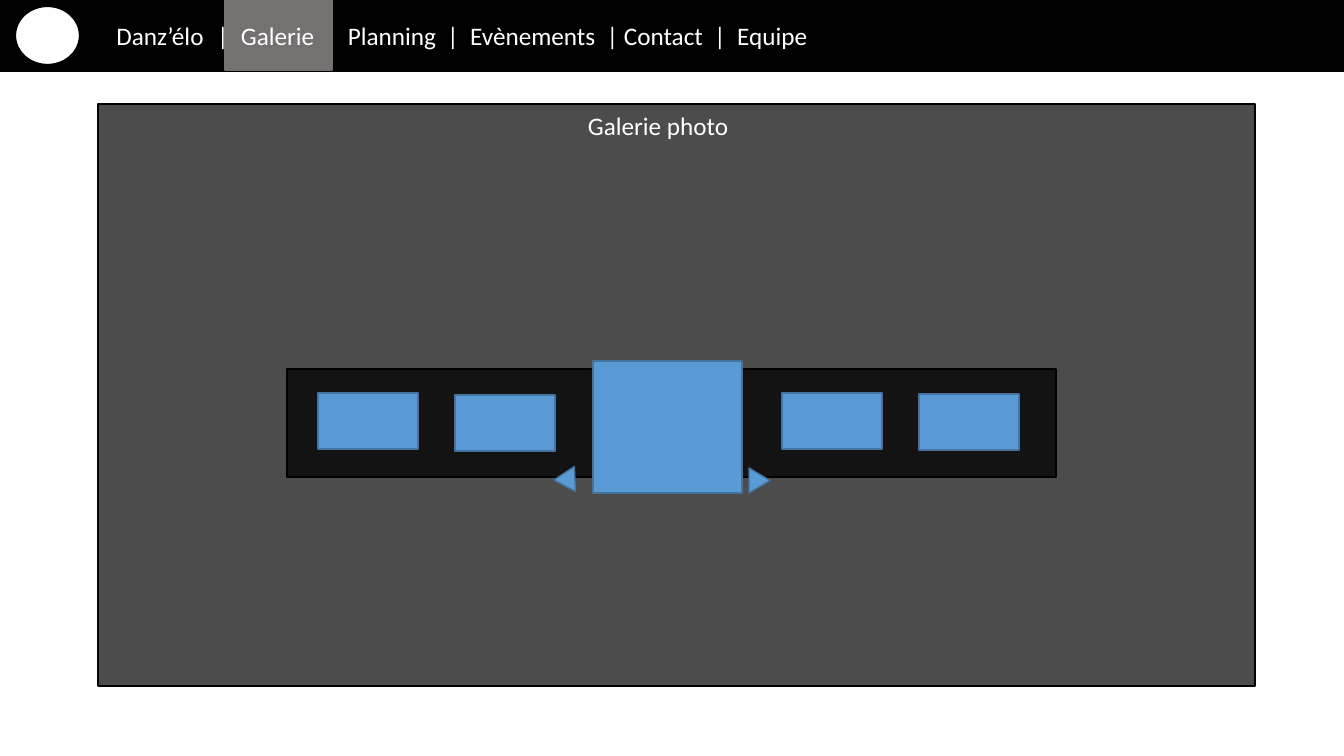
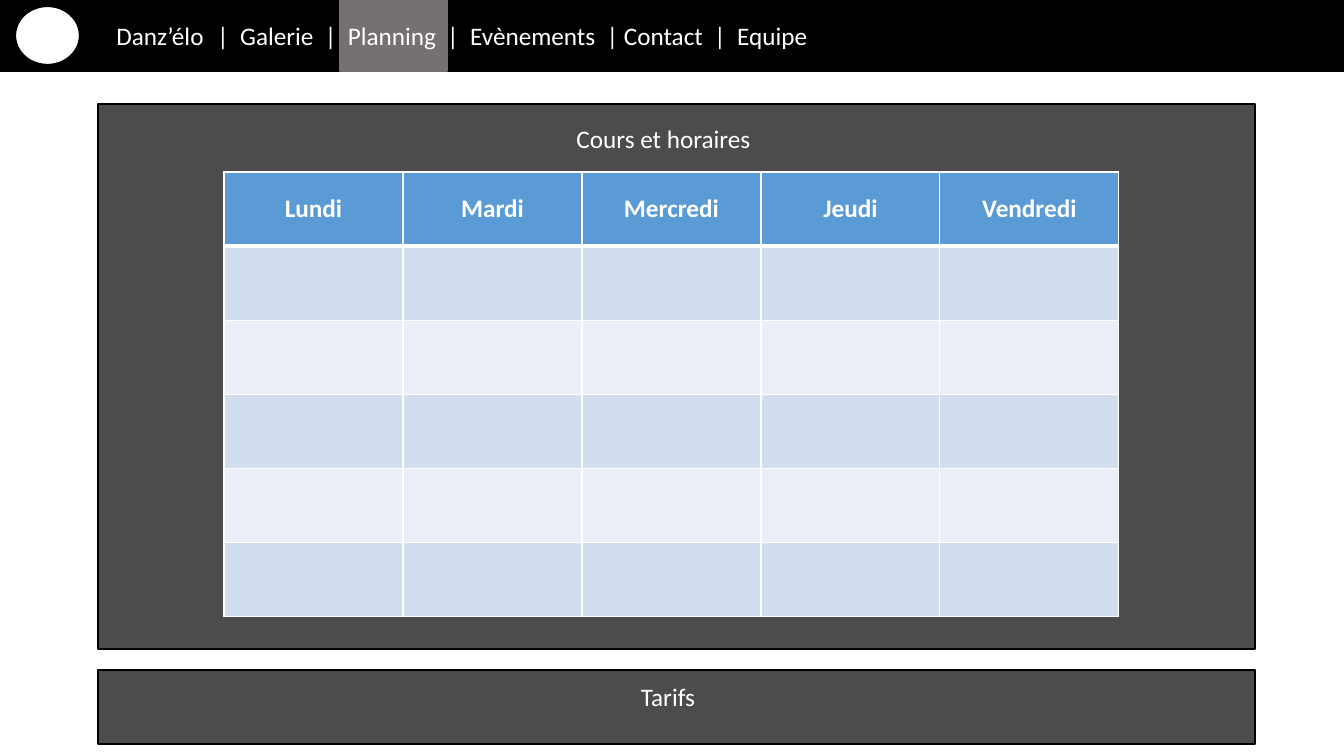
from lxml.etree import SubElement
from pptx import Presentation
from pptx.dml.color import RGBColor
from pptx.enum.shapes import MSO_SHAPE
from pptx.enum.text import MSO_ANCHOR, PP_ALIGN
from pptx.oxml.ns import qn
from pptx.util import Emu, Pt

# Content: boxes are left, top, width, height in pixels
MENU = "\t Danz’élo\t |  Galerie  |  Planning  |  Evènements  | Contact  |  Equipe "
GALLERY_TAB = ("Galerie", (225, -1, 107, 71), (231, 15, 95, 40))
PLANNING_TAB = ("Planning", (340, 0, 107, 71), (338, 15, 110, 40))
GALLERY_TITLE = ("Galerie photo", (578, 105, 168, 40))
SCHEDULE_TITLE = ("Cours et horaires", (565, 118, 197, 40))
PRICES_TITLE = ("Tarifs", (631, 676, 82, 40))
THUMBNAILS = [(318, 393), (455, 395), (782, 393), (919, 394)]
MAIN_PHOTO = (593, 361, 149, 132)
ARROWS = [((747, 470, 25, 21), 90), ((552, 469, 25, 21), 267.4)]
DAYS = ["Lundi", "Mardi", "Mercredi", "Jeudi", "Vendredi"]
EMPTY_ROWS = 5

# Shared look
COLORS = {"black": "000000", "white": "FFFFFF", "tab": "767171",
          "blue": "5B9BD5", "blue_line": "43739E",
          "dark_band": "D2DEEF", "light_band": "EAEFF7"}
FONT, TEXT_SIZE = "Calibri", Pt(18)
SLIDE_WIDTH, SLIDE_HEIGHT = 1344, 756
PANEL_LEFT, PANEL_WIDTH = 98, 1157
EMU_PER_PIXEL = 12192000 / SLIDE_WIDTH


def px(value):
    return Emu(round(value * EMU_PER_PIXEL))


def color(name):
    return RGBColor.from_string(COLORS[name])


def style_text(paragraph, align=PP_ALIGN.LEFT, bold=False):
    paragraph.alignment = align
    font = paragraph.font
    font.name, font.size, font.bold = FONT, TEXT_SIZE, bold
    font.color.rgb = color("white")


def add_box(slide, box, fill, line, kind=MSO_SHAPE.RECTANGLE, line_width=1, opacity=None):
    shape = slide.shapes.add_shape(kind, *map(px, box))
    shape.shadow.inherit = False
    shape.fill.solid()
    shape.fill.fore_color.rgb = color(fill)
    shape.line.color.rgb = color(line)
    shape.line.width = Pt(line_width)
    if opacity is not None:
        fill_color = shape._element.spPr.find(qn("a:solidFill"))[0]
        SubElement(fill_color, qn("a:alpha"), val=str(opacity * 1000))
    return shape


def add_label(slide, text, box, align=PP_ALIGN.LEFT, wrap=True):
    frame = slide.shapes.add_textbox(*map(px, box)).text_frame
    frame.word_wrap = wrap
    frame.text = text
    style_text(frame.paragraphs[0], align)


def add_panel(slide, top, height):
    add_box(slide, (PANEL_LEFT, top, PANEL_WIDTH, height), "black", "black", opacity=70)


def add_page(presentation, active_tab):
    slide = presentation.slides.add_slide(presentation.slide_layouts[6])
    # Menu bar, with tab stops every inch
    bar = add_box(slide, (0, 0, SLIDE_WIDTH, 71), "black", "black")
    bar.text_frame.text = MENU
    bar.text_frame.vertical_anchor = MSO_ANCHOR.MIDDLE
    paragraph = bar.text_frame.paragraphs[0]
    style_text(paragraph)
    tab_stops = SubElement(paragraph._p.get_or_add_pPr(), qn("a:tabLst"))
    for inches in (1, 2):
        SubElement(tab_stops, qn("a:tab"), pos=str(inches * 914400), algn="l")
    # Round emblem and active tab
    add_box(slide, (14, 5, 67, 61), "white", "black", MSO_SHAPE.OVAL, 3)
    text, tab_box, label_box = active_tab
    add_box(slide, tab_box, "tab", "tab")
    add_label(slide, text, label_box, wrap=False)
    return slide


def set_borders(cell, top, bottom):
    properties = cell._tc.get_or_add_tcPr()
    for side, width in (("L", 1), ("R", 1), ("T", top), ("B", bottom)):
        line = SubElement(properties, qn("a:ln" + side), w=str(Pt(width)))
        SubElement(SubElement(line, qn("a:solidFill")), qn("a:srgbClr"), val=COLORS["white"])


def add_schedule(slide, box):
    rows = EMPTY_ROWS + 1
    table = slide.shapes.add_table(rows, len(DAYS), *map(px, box)).table
    for row in range(rows):
        for column, day in enumerate(DAYS):
            cell = table.cell(row, column)
            set_borders(cell, 3 if row == 1 else 1, 3 if row == 0 else 1)
            cell.fill.solid()
            band = "dark_band" if row % 2 else "light_band"
            cell.fill.fore_color.rgb = color(band if row else "blue")
            if row == 0:
                cell.text = day
                cell.vertical_anchor = MSO_ANCHOR.MIDDLE
                style_text(cell.text_frame.paragraphs[0], PP_ALIGN.CENTER, bold=True)


presentation = Presentation()
presentation.slide_width, presentation.slide_height = px(SLIDE_WIDTH), px(SLIDE_HEIGHT)

# Gallery page
gallery = add_page(presentation, GALLERY_TAB)
add_panel(gallery, 104, 582)
add_label(gallery, *GALLERY_TITLE)
add_box(gallery, (287, 369, 769, 108), "black", "black", opacity=74)
for left, top in THUMBNAILS:
    add_box(gallery, (left, top, 100, 56), "blue", "blue_line")
add_box(gallery, MAIN_PHOTO, "blue", "blue_line")
for box, angle in ARROWS:
    arrow = add_box(gallery, box, "blue", "blue_line", MSO_SHAPE.ISOSCELES_TRIANGLE)
    arrow.rotation = angle

# Planning page
planning = add_page(presentation, PLANNING_TAB)
add_panel(planning, 104, 545)
add_schedule(planning, (224, 172, 895, 445))
add_label(planning, *SCHEDULE_TITLE, align=PP_ALIGN.CENTER)
add_panel(planning, 670, 74)
add_label(planning, *PRICES_TITLE)

presentation.save("out.pptx")
